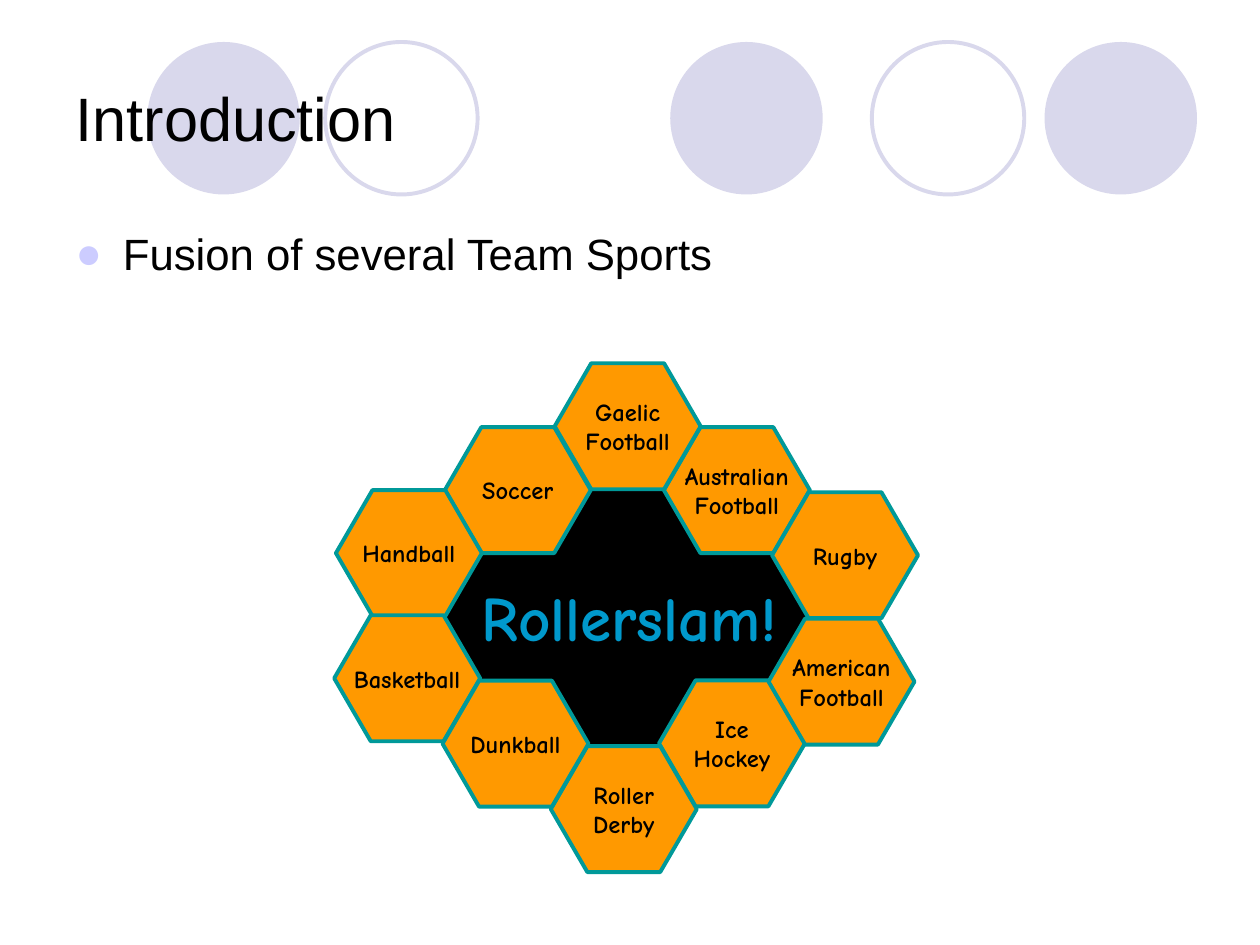
from lxml import etree
from pptx import Presentation
from pptx import util as u
from pptx.dml.color import RGBColor
from pptx.enum import shapes, text
from pptx.oxml import ns

LILAC = RGBColor(0xD9, 0xD8, 0xEC)
BLACK = RGBColor(0x00, 0x00, 0x00)
BLUE = RGBColor(0x00, 0x99, 0xCC)
ORANGE = RGBColor(0xFF, 0x99, 0x00)
TEAL = RGBColor(0x00, 0x99, 0x99)
BULLET = "CCCCFF"

CIRCLE_SIZE = 87.1
CIRCLES = [(383, True), (596.9, True), (84.2, True), (498.2, False), (185.8, False)]

HEX_WIDTH, HEX_HEIGHT = 83.4, 72
SPORTS = [
    (254.2, 244.1, "Soccer"),
    (192, 280.1, "Handball"),
    (376.6, 388.8, "Ice\nHockey"),
    (379.4, 244.1, "Australian\nFootball"),
    (191, 351.6, "Basketball"),
    (441.2, 281.3, "Rugby"),
    (317, 207.6, "Gaelic\nFootball"),
    (439.2, 353.5, "American\nFootball"),
    (314.8, 426.4, "Roller\nDerby"),
    (252.9, 389, "Dunkball"),
]


class Deck:
    heading_font = "Arial"
    label_font = "Comic Neue"
    line_width = 2.25

    def __init__(self, prs):
        self.s = prs.slides.add_slide(prs.slide_layouts[1])

    def shape(self, kind, left, top, width, height, fill=None, line=None):
        sp = self.s.shapes.add_shape(
            kind, u.Pt(left), u.Pt(top), u.Pt(width), u.Pt(height))
        sp.shadow.inherit = False
        if fill is None:
            sp.fill.background()
        else:
            sp.fill.solid()
            sp.fill.fore_color.rgb = fill
        if line is None:
            sp.line.fill.background()
        else:
            sp.line.color.rgb = line
            sp.line.width = u.Pt(self.line_width)
        return sp

    def style(self, p, name, size, color, bold=False):
        p.font.name = name
        p.font.size = u.Pt(size)
        p.font.color.rgb = color
        p.font.bold = bold

    def label(self, sp, words, size, color):
        tf = sp.text_frame
        tf.word_wrap = False
        tf.vertical_anchor = text.MSO_ANCHOR.MIDDLE
        tf.text = words
        for p in tf.paragraphs:
            p.alignment = text.PP_ALIGN.CENTER
            self.style(p, self.label_font, size, color, bold=True)

    def circle(self, left, solid):
        colors = {"fill": LILAC} if solid else {"line": LILAC}
        self.shape(shapes.MSO_SHAPE.OVAL, left, 24, CIRCLE_SIZE, CIRCLE_SIZE, **colors)

    def placeholder(self, sp, left, top, width, height, words, size, anchor):
        sp.left, sp.top = u.Pt(left), u.Pt(top)
        sp.width, sp.height = u.Pt(width), u.Pt(height)
        sp._element.getparent().append(sp._element)
        tf = sp.text_frame
        tf.text = words
        tf.vertical_anchor = anchor
        p = tf.paragraphs[0]
        p.alignment = text.PP_ALIGN.LEFT
        p.space_before = u.Pt(0)
        self.style(p, self.heading_font, size, BLACK)
        return p

    def title(self, words):
        self.placeholder(self.s.shapes.title, 36, 21.6, 648, 90, words, 35,
                         text.MSO_ANCHOR.MIDDLE)

    def bullet(self, words):
        p = self.placeholder(self.s.placeholders[1], 36, 126, 648, 356.4, words, 25,
                             text.MSO_ANCHOR.TOP)
        pPr = p._p.get_or_add_pPr()
        pPr.set("marL", str(u.Pt(27)))
        pPr.set("indent", str(u.Pt(-27)))
        color = etree.Element(ns.qn("a:buClr"))
        etree.SubElement(color, ns.qn("a:srgbClr"), val=BULLET)
        mark = etree.Element(ns.qn("a:buChar"), char="●")
        spacing = pPr.find(ns.qn("a:spcBef"))
        spacing.addnext(color)
        color.addnext(mark)

    def center(self, words):
        sp = self.shape(shapes.MSO_SHAPE.OVAL, 246.2, 264.2, 226.8, 175.7, BLACK, BLACK)
        self.label(sp, words, 36, BLUE)

    def hexagon(self, left, top, words):
        sp = self.shape(shapes.MSO_SHAPE.HEXAGON, left, top, HEX_WIDTH, HEX_HEIGHT,
                        ORANGE, TEAL)
        sp.adjustments[0] = 0.29
        self.label(sp, words, 14, BLACK)


def main():
    prs = Presentation()
    prs.slide_width, prs.slide_height = u.Pt(720), u.Pt(540)
    deck = Deck(prs)
    for left, solid in CIRCLES:
        deck.circle(left, solid)
    deck.title("Introduction")
    deck.bullet("Fusion of several Team Sports")
    deck.center("Rollerslam!")
    for left, top, words in SPORTS:
        deck.hexagon(left, top, words)
    prs.save("out.pptx")


if __name__ == "__main__":
    main()
